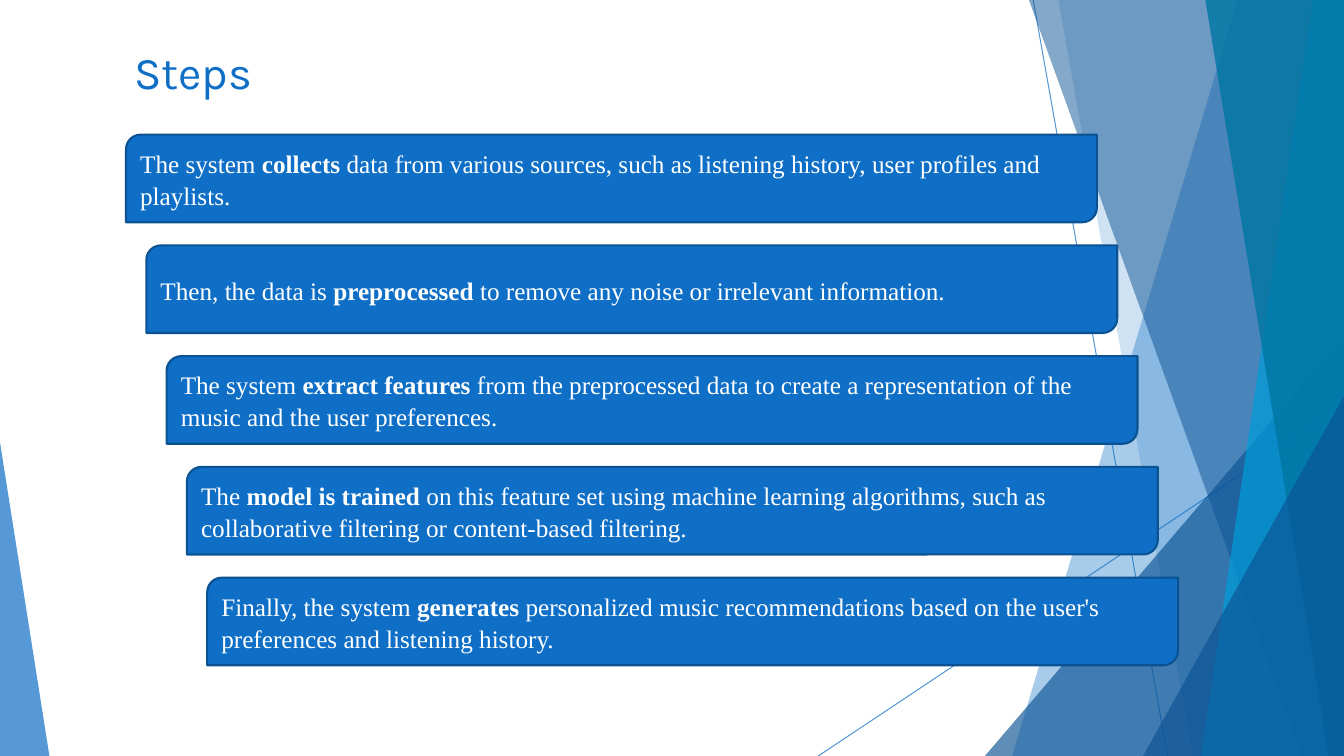
from pptx import Presentation
from pptx.util import Pt
from pptx.dml.color import RGBColor
from pptx.enum.shapes import MSO_CONNECTOR, MSO_SHAPE
from pptx.enum.text import MSO_ANCHOR, PP_ALIGN
from pptx.oxml.ns import qn
from lxml.etree import SubElement

BLUE = RGBColor(0x0F, 0x6F, 0xC6)
NAVY = RGBColor(0x0B, 0x53, 0x94)
EDGE = RGBColor(0x0B, 0x52, 0x92)
CYAN = RGBColor(0x00, 0x9D, 0xD9)
TEAL = RGBColor(0x00, 0x76, 0xA3)
WHITE = RGBColor(0xFF, 0xFF, 0xFF)


def fade(shape, percent):
    color = next(shape._element.spPr.iter(qn("a:srgbClr")))
    SubElement(color, qn("a:alpha")).set("val", str(percent * 1000))


def paint(shape, color, percent):
    shape.shadow.inherit = False
    shape.fill.solid()
    shape.fill.fore_color.rgb = color
    shape.line.fill.background()
    fade(shape, percent)


deck = Presentation()
deck.slide_width, deck.slide_height = Pt(960), Pt(540)
slide = deck.slides.add_slide(deck.slide_layouts[5])
shapes = slide.shapes

for ends in [(738, 0, 834, 540), (960, 290, 584.5, 540)]:
    line = shapes.add_connector(MSO_CONNECTOR.STRAIGHT, *[Pt(n) for n in ends])
    line.line.color.rgb = BLUE
    line.line.width = Pt(0.75)
    fade(line, 70)
    SubElement(line._element.spPr, qn("a:effectLst"))

bands = [
    ("band", (884, 723), BLUE, 36),
    ("band", (756, 852), BLUE, 20),
    ("peak", (703.5, 240, 256.5, 300, 1), NAVY, 66),
    ("band", (735, 930), NAVY, 50),
    ("band", (938, 858), CYAN, 70),
    ("band", (861, 949), TEAL, 80),
    ("peak", (816.5, 283, 143.5, 257, 1), NAVY, 66),
    ("peak", (0, 316, 35.3, 224, 0), BLUE, 70),
]
for kind, place, color, percent in bands:
    if kind == "band":
        top, foot = place
        pen = shapes.build_freeform(top, 0, scale=Pt(1))
        pen.add_line_segments([(960, 0), (960, 540), (foot, 540)], close=True)
        facet = pen.convert_to_shape()
    else:
        facet = shapes.add_shape(MSO_SHAPE.ISOSCELES_TRIANGLE,
                                 *[Pt(n) for n in place[:4]])
        facet.adjustments[0] = place[4]
    paint(facet, color, percent)

title = shapes.title
title.left, title.top, title.width, title.height = Pt(88.6), Pt(28), Pt(677), Pt(37.5)
title.text_frame.text = "Steps"
title.text_frame.vertical_anchor = MSO_ANCHOR.TOP
head = title.text_frame.paragraphs[0]
head.alignment = PP_ALIGN.LEFT
head.runs[0].font.name = "Karla"
head.runs[0].font.size = Pt(32.4)
head.runs[0].font.color.rgb = BLUE

steps = [
    ("The system ", "collects",
     " data from various sources, such as listening history, user profiles and playlists."),
    ("Then, the data is ", "preprocessed",
     " to remove any noise or irrelevant information."),
    ("The system ", "extract features",
     " from the preprocessed data to create a representation of the music"
     " and the user preferences."),
    ("The ", "model is trained",
     " on this feature set using machine learning algorithms, such as"
     " collaborative filtering or content-based filtering."),
    ("Finally, the system ", "generates",
     " personalized music recommendations based on the user's preferences"
     " and listening history."),
]
for row, parts in enumerate(steps):
    box = shapes.add_shape(MSO_SHAPE.ROUND_2_DIAG_RECTANGLE, Pt(90 + 14.5 * row),
                           Pt(96.2 + 79.1 * row), Pt(693.5), Pt(62.6))
    box.shadow.inherit = False
    box.fill.solid()
    box.fill.fore_color.rgb = BLUE
    box.line.color.rgb = EDGE
    box.line.width = Pt(1.5)
    frame = box.text_frame
    frame.word_wrap = True
    frame.vertical_anchor = MSO_ANCHOR.MIDDLE
    para = frame.paragraphs[0]
    para.alignment = PP_ALIGN.LEFT
    para.line_spacing = 1.05
    for spot, words in enumerate(parts):
        run = para.add_run()
        run.text = words
        run.font.name = "Times New Roman"
        run.font.size = Pt(18)
        run.font.bold = spot == 1
        run.font.color.rgb = WHITE

deck.save("out.pptx")
